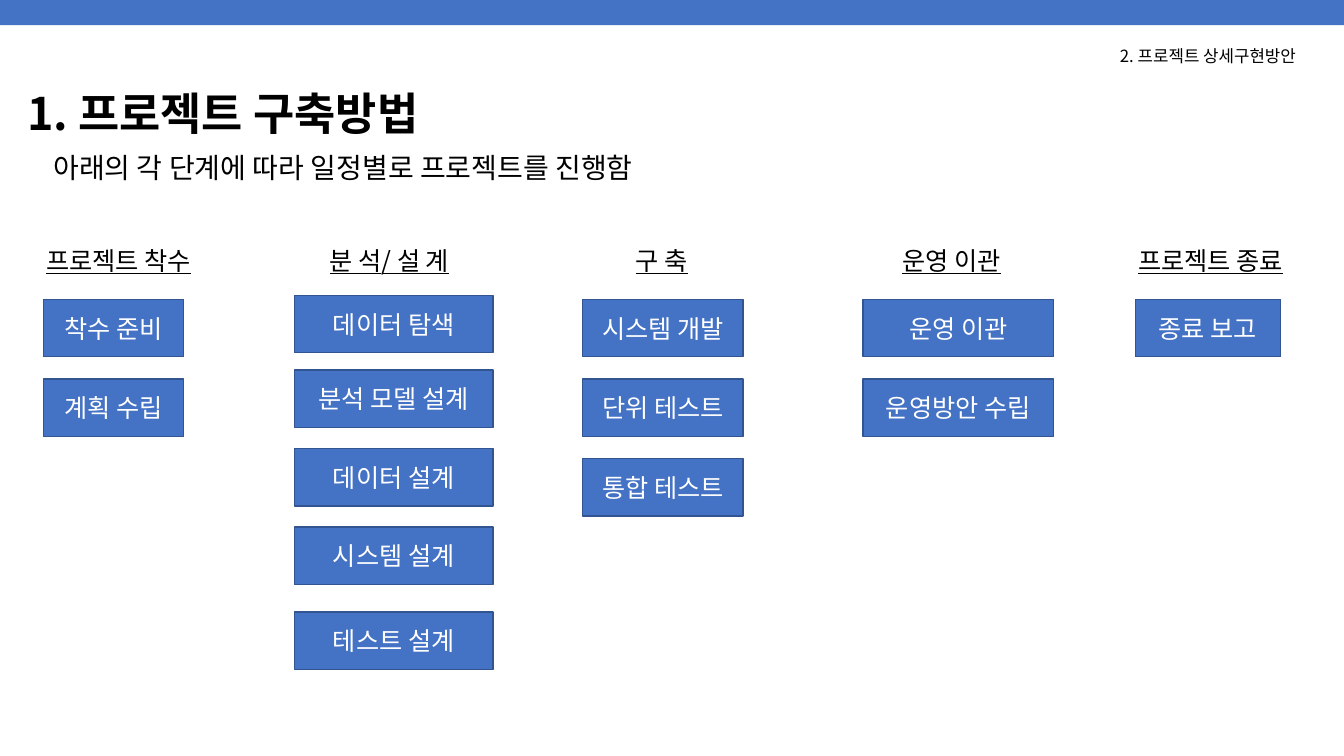
"""Build the slide of project phases and the steps in each phase."""
from dataclasses import dataclass

from lxml.etree import SubElement
from pptx import Presentation
from pptx.dml.color import RGBColor as Rgb
from pptx.enum.shapes import MSO_SHAPE as Kind
from pptx.enum.text import MSO_ANCHOR as Anchor, PP_ALIGN as Align
from pptx.oxml.ns import qn
from pptx.shapes.autoshape import Shape
from pptx.slide import Slide
from pptx.util import Inches, Pt

FONT = "Noto Sans CJK KR"
COLORS = {"blue": "4472C4", "edge": "325491", "black": "000000", "white": "FFFFFF"}
WIDE, TALL = 13.33, 7.5
HEAD_TOP, HEAD_TALL = 2.38, 0.4
STEP_TALL = 0.57
TOPS = (2.97, 3.76, 4.55)


@dataclass
class Area:
    left: float
    top: float
    width: float
    height: float

    def sides(self) -> list[int]:
        return [Inches(n) for n in (self.left, self.top, self.width, self.height)]


@dataclass
class Label:
    text: str
    area: Area
    size: float
    bold: bool = False
    under: bool = False
    wrap: bool = False
    middle: bool = False
    tight: bool = False
    before: float = 0


@dataclass
class Phase:
    head: str
    head_left: float
    head_width: float
    left: float
    width: float
    steps: tuple[str, ...]
    tops: tuple[float, ...] = TOPS


LABELS = (
    Label("1. 프로젝트 구축방법", Area(0.17, 0.71, 12.93, 0.89), 32,
          bold=True, wrap=True, middle=True, tight=True),
    Label("2. 프로젝트 상세구현방안", Area(11.01, 0.4, 2.13, 0.3), 12),
    Label("아래의 각 단계에 따라 일정별로 프로젝트를 진행함",
          Area(0.43, 1.48, 12.41, 0.65), 20, wrap=True, tight=True, before=10),
)
PHASES = (
    Phase("프로젝트 착수", 0.36, 1.81, 0.43, 1.39, ("착수 준비", "계획 수립")),
    Phase("분 석/ 설 계", 3.17, 1.57, 2.92, 1.97,
          ("데이터 탐색", "분석 모델 설계", "데이터 설계", "시스템 설계", "테스트 설계"),
          (2.93, 3.67, 4.45, 5.23, 6.07)),
    Phase("구 축", 6.21, 0.8, 5.78, 1.59, ("시스템 개발", "단위 테스트", "통합 테스트")),
    Phase("운영 이관", 8.85, 1.3, 8.56, 1.89, ("운영 이관", "운영방안 수립")),
    Phase("프로젝트 종료", 11.19, 1.81, 11.26, 1.44, ("종료 보고",)),
)


def color(name: str) -> Rgb:
    return Rgb.from_string(COLORS[name])


def write(shape: Shape, text: str, size: float, tint: str):
    para = shape.text_frame.paragraphs[0]
    para.text = text
    font = para.font
    font.size = Pt(size)
    font.name = FONT
    font.color.rgb = color(tint)
    SubElement(font._element, qn("a:ea"), typeface=FONT)
    return para


def add_label(slide: Slide, label: Label) -> None:
    box = slide.shapes.add_textbox(*label.area.sides())
    frame = box.text_frame
    frame.word_wrap = label.wrap
    frame.vertical_anchor = Anchor.MIDDLE if label.middle else Anchor.TOP
    para = write(box, label.text, label.size, "black")
    para.font.bold = label.bold
    para.font.underline = label.under
    para.space_before = Pt(label.before)
    if label.tight:
        para.line_spacing = 0.9


def add_rect(slide: Slide, area: Area) -> Shape:
    rect = slide.shapes.add_shape(Kind.RECTANGLE, *area.sides())
    rect.shadow.inherit = False
    rect.fill.solid()
    rect.fill.fore_color.rgb = color("blue")
    rect.line.fill.background()
    return rect


def add_step(slide: Slide, text: str, area: Area) -> None:
    rect = add_rect(slide, area)
    rect.line.color.rgb = color("edge")
    rect.line.width = Pt(1)
    rect.text_frame.word_wrap = True
    rect.text_frame.vertical_anchor = Anchor.MIDDLE
    write(rect, text, 18, "white").alignment = Align.CENTER


def add_phase(slide: Slide, phase: Phase) -> None:
    area = Area(phase.head_left, HEAD_TOP, phase.head_width, HEAD_TALL)
    add_label(slide, Label(phase.head, area, 18, under=True))
    for text, top in zip(phase.steps, phase.tops):
        add_step(slide, text, Area(phase.left, top, phase.width, STEP_TALL))


def main() -> None:
    deck = Presentation()
    deck.slide_width, deck.slide_height = Inches(WIDE), Inches(TALL)
    slide = deck.slides.add_slide(deck.slide_layouts[6])
    add_rect(slide, Area(0, 0, WIDE, 0.25))
    for label in LABELS:
        add_label(slide, label)
    for phase in PHASES:
        add_phase(slide, phase)
    deck.save("out.pptx")


if __name__ == "__main__":
    main()
